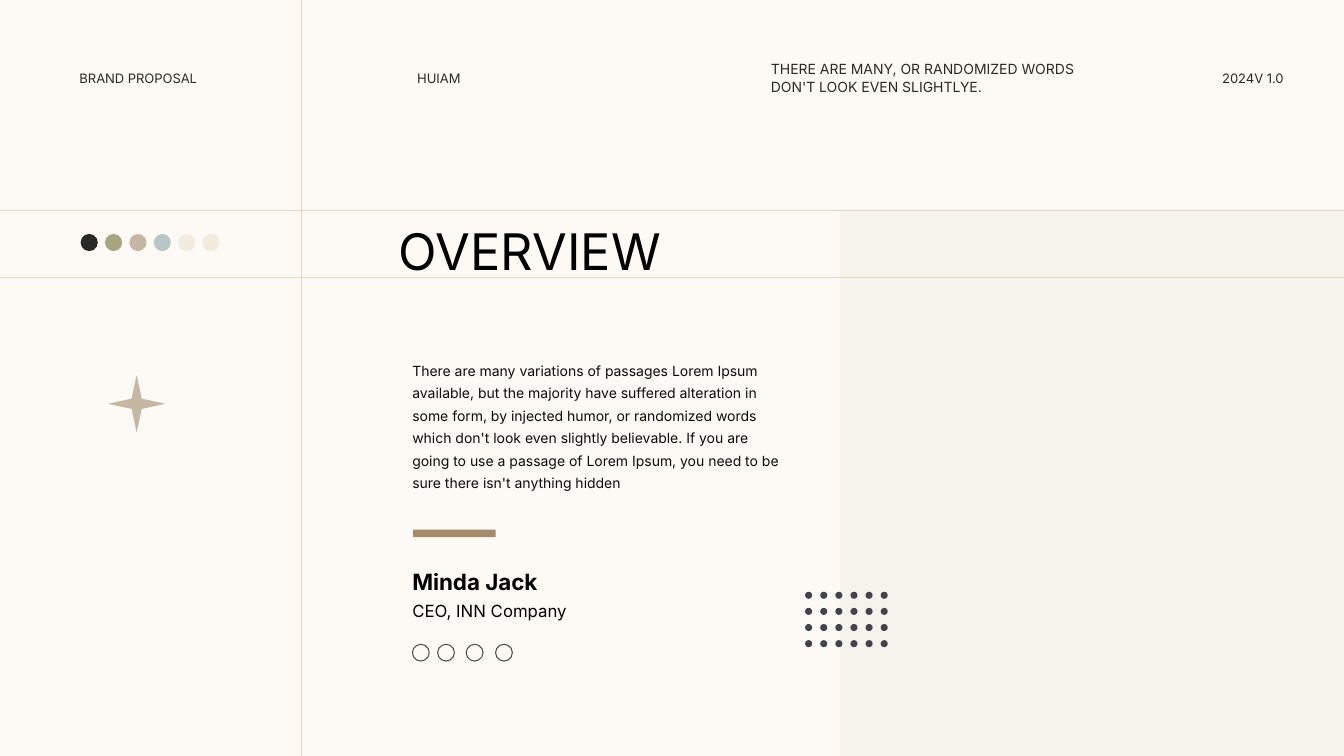
from lxml import etree
from pptx import Presentation
from pptx.dml.color import RGBColor
from pptx.enum.shapes import MSO_CONNECTOR, MSO_SHAPE
from pptx.enum.text import MSO_ANCHOR, MSO_AUTO_SIZE, PP_ALIGN
from pptx.oxml.ns import qn
from pptx.util import Inches, Pt

RECTANGLE = MSO_SHAPE.RECTANGLE
OVAL = MSO_SHAPE.OVAL
STAR = MSO_SHAPE.STAR_4_POINT
STRAIGHT = MSO_CONNECTOR.STRAIGHT
TOP = MSO_ANCHOR.TOP
FIT_SHAPE = MSO_AUTO_SIZE.SHAPE_TO_FIT_TEXT
LEFT, RIGHT = PP_ALIGN.LEFT, PP_ALIGN.RIGHT
TITLE_ONLY = 5

COLUMNS, ROWS = 160, 90
CELL = Inches(7.5) / ROWS
COLORS = {
    "paper": "FDFAF5",
    "panel": "EDEDE5",
    "rule": "E7D6BC",
    "bar": "A38B6C",
    "ink": "292A25",
    "text": "0D0D0D",
    "black": "000000",
    "dot": "42434D",
    "icon": "4C4B4A",
    "olive": "A7A57F",
    "sand": "C6B7A4",
    "mist": "B8C6C6",
    "cream": "F3EBDE",
}


def color(name):
    return RGBColor.from_string(COLORS[name])


def cells(*counts):
    """Turn counts of square grid cells into slide lengths."""
    return [round(count * CELL) for count in counts]


class SlideBuilder:
    font = "Inter"
    rule_width = Pt(0.5)
    outline_width = Pt(0.75)

    def __init__(self, presentation):
        self.slide = presentation.slides.add_slide(presentation.slide_layouts[TITLE_ONLY])
        background = self.slide.background.fill
        background.solid()
        background.fore_color.rgb = color("paper")

    def shape(self, kind, box, fill=None, outline=None, opacity=None):
        shape = self.slide.shapes.add_shape(kind, *cells(*box))
        shape.shadow.inherit = False
        if fill:
            shape.fill.solid()
            shape.fill.fore_color.rgb = color(fill)
        else:
            shape.fill.background()
        if outline:
            shape.line.color.rgb = color(outline)
            shape.line.width = self.outline_width
        else:
            shape.line.fill.background()
        if opacity:
            fill_color = shape.element.spPr.find(qn("a:solidFill"))[0]
            etree.SubElement(fill_color, qn("a:alpha"), val=str(opacity * 1000))

    def rule(self, start, end):
        connector = self.slide.shapes.add_connector(STRAIGHT, *cells(*start, *end))
        connector.line.color.rgb = color("rule")
        connector.line.width = self.rule_width
        etree.SubElement(connector.element.spPr, qn("a:effectLst"))

    def fill_text(self, shape, text, size, ink, bold=False, spacing=None, align=LEFT, raised=False):
        frame = shape.text_frame
        frame.word_wrap = True
        frame.auto_size = FIT_SHAPE
        frame.vertical_anchor = TOP
        paragraph = frame.paragraphs[0]
        paragraph.alignment = align
        if spacing:
            paragraph.line_spacing = Pt(spacing)
        run = paragraph.add_run()
        run.text = text
        run.font.name = self.font
        run.font.size = Pt(size)
        run.font.bold = bold
        run.font.color.rgb = color(ink)
        if raised:
            run._r.get_or_add_rPr().set("baseline", "30000")

    def text(self, box, text, size, ink, **style):
        self.fill_text(self.slide.shapes.add_textbox(*cells(*box)), text, size, ink, **style)

    def title(self, box, text, size, ink, **style):
        title = self.slide.shapes.title
        title.left, title.top, title.width, title.height = cells(*box)
        self.fill_text(title, text, size, ink, **style)


def main():
    presentation = Presentation()
    presentation.slide_width, presentation.slide_height = cells(COLUMNS, ROWS)
    builder = SlideBuilder(presentation)

    builder.shape(RECTANGLE, (100, 25, 60, 65), "panel", opacity=50)
    for row in (25, 33):
        builder.rule((0, row), (COLUMNS, row))
    builder.rule((35.9, 0), (35.9, ROWS))

    for left, width, label, align in (
        (8.28, 22, "BRAND PROPOSAL", LEFT),
        (48.48, 22, "HUIAM", LEFT),
        (141.5, 12.5, "2024V 1.0", RIGHT),
    ):
        builder.text((left, 7.45, width, 3.4), label, 16, "ink", align=align, raised=True)
    builder.text(
        (90.6, 6.4, 40.6, 5.4),
        "THERE ARE MANY, OR RANDOMIZED WORDS DON'T LOOK EVEN SLIGHTLYE.",
        10, "ink", spacing=13,
    )

    builder.title((46.3, 23.6, 37.3, 9.6), "OVERVIEW", 36, "black", spacing=55)
    builder.text(
        (47.9, 41.9, 46, 17.2),
        "There are many variations of passages Lorem Ipsum available, but the majority have "
        "suffered alteration in some form, by injected humor, or randomized words which don't "
        "look even slightly believable. If you are going to use a passage of Lorem Ipsum, you "
        "need to be sure there isn't anything hidden",
        10, "text", spacing=16,
    )
    builder.shape(RECTANGLE, (49.2, 63.05, 9.8, 0.9), "bar")
    builder.text((47.9, 67, 40.7, 4.4), "Minda Jack", 16, "black", bold=True)
    builder.text((47.9, 70.9, 21.7, 3.6), "CEO, INN Company", 12, "black")
    for icon_left in (49.1, 52.1, 55.5, 59):
        builder.shape(OVAL, (icon_left, 76.7, 2, 2), outline="icon")

    for index, swatch in enumerate(("ink", "olive", "sand", "mist", "cream", "cream")):
        builder.shape(OVAL, (9.6 + 2.9 * index, 27.85, 2.05, 2.05), swatch)
    builder.shape(STAR, (12.85, 44.65, 6.85, 6.85), "sand")
    for row in range(4):
        for column in range(6):
            builder.shape(OVAL, (95.85 + 1.8 * column, 70.45 + 1.92 * row, 0.84, 0.84), "dot")

    presentation.save("out.pptx")


if __name__ == "__main__":
    main()
